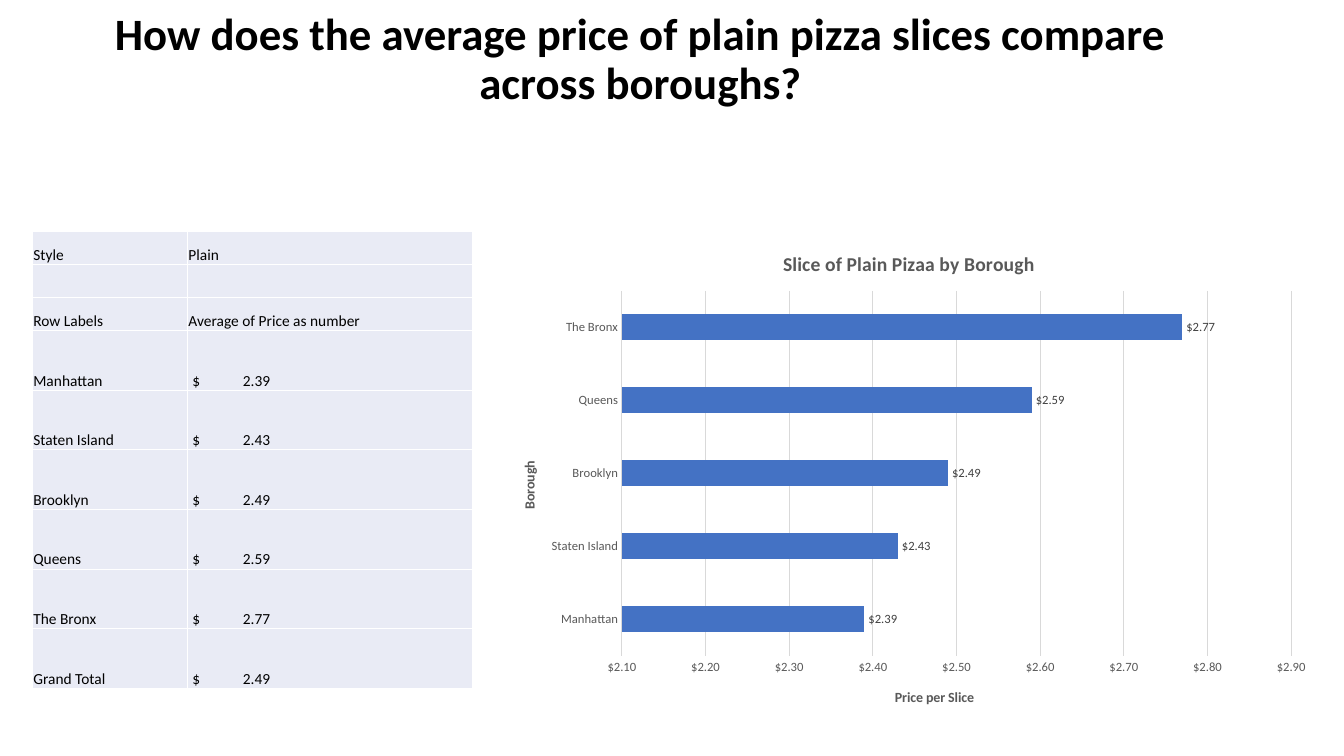
from lxml import etree
from pptx import Presentation
from pptx.chart.data import CategoryChartData
from pptx.dml.color import RGBColor
from pptx.enum.chart import XL_CHART_TYPE, XL_LABEL_POSITION, XL_TICK_MARK
from pptx.enum.text import MSO_ANCHOR, PP_ALIGN
from pptx.oxml.ns import qn
from pptx.util import Cm, Pt

BAR_CLUSTERED = XL_CHART_TYPE.BAR_CLUSTERED
OUTSIDE_END = XL_LABEL_POSITION.OUTSIDE_END
NO_TICK = XL_TICK_MARK.NONE
BOTTOM = MSO_ANCHOR.BOTTOM
CENTER = PP_ALIGN.CENTER

FONT = "Calibri"
PRICE_FORMAT = '"$"#,##0.00'
COLORS = {
    "black": "000000",
    "cell": "E9EBF5",
    "bar": "4472C4",
    "axis": "595959",
    "label": "404040",
    "grid": "D9D9D9",
}
PRICES = {
    "Manhattan": 2.39,
    "Staten Island": 2.43,
    "Brooklyn": 2.49,
    "Queens": 2.59,
    "The Bronx": 2.77,
}
AVERAGE_PRICE = 2.49


def color(name):
    return RGBColor.from_string(COLORS[name])


def set_font(font, size, color_name, bold=False):
    font.name = FONT
    font.size = Pt(size)
    font.bold = bold
    font.color.rgb = color(color_name)


def add_title(slide, left, top, width, height):
    frame = slide.shapes.add_textbox(left, top, width, height).text_frame
    frame.word_wrap = True
    frame.vertical_anchor = BOTTOM
    paragraph = frame.paragraphs[0]
    paragraph.text = "How does the average price of plain pizza slices compare across boroughs?"
    paragraph.alignment = CENTER
    paragraph.line_spacing = 0.9
    set_font(paragraph.font, 32, "black", True)


def add_price_tab(paragraph):
    properties = paragraph._p.get_or_add_pPr()
    properties.set("marL", str(Cm(0.1)))
    properties.set("indent", "0")
    tabs = etree.Element(qn("a:tabLst"))
    etree.SubElement(tabs, qn("a:tab"), pos=str(Cm(5.3)), algn="r")
    properties.insert(0, tabs)


def add_price_table(slide, left, top, width, height):
    rows = [("Style", "Plain"), ("", ""), ("Row Labels", "Average of Price as number")]
    header_count = len(rows)
    totals = {**PRICES, "Grand Total": AVERAGE_PRICE}
    rows += [(name, f"$\t{price:.2f}") for name, price in totals.items()]
    table = slide.shapes.add_table(len(rows), 2, left, top, width, height).table
    table.first_row = False
    table.horz_banding = False
    table.columns[0].width = Cm(3.91)
    table.columns[1].width = width - Cm(3.91)
    header_height = Cm(0.83)
    price_height = (height - header_count * header_height) // len(totals)
    for row_index, texts in enumerate(rows):
        is_header = row_index < header_count
        table.rows[row_index].height = header_height if is_header else price_height
        for column_index, text in enumerate(texts):
            cell = table.cell(row_index, column_index)
            cell.fill.solid()
            cell.fill.fore_color.rgb = color("cell")
            cell.vertical_anchor = BOTTOM
            cell.margin_left = cell.margin_right = cell.margin_top = Cm(0.02)
            cell.margin_bottom = 0
            paragraph = cell.text_frame.paragraphs[0]
            paragraph.text = text
            set_font(paragraph.font, 11, "black")
            if column_index == 1 and not is_header:
                add_price_tab(paragraph)


def set_layout(element, index, **places):
    for layout in element.findall(qn("c:layout")):
        element.remove(layout)
    layout = etree.Element(qn("c:layout"))
    manual = etree.SubElement(layout, qn("c:manualLayout"))
    if "w" in places:
        etree.SubElement(manual, qn("c:layoutTarget"), val="inner")
    for side in ("x", "y"):
        etree.SubElement(manual, qn(f"c:{side}Mode"), val="edge")
    for side, share in places.items():
        etree.SubElement(manual, qn(f"c:{side}"), val=str(share))
    element.insert(index, layout)


def set_chart_title(owner, text, size):
    paragraph = owner.text_frame.paragraphs[0]
    paragraph.text = text
    set_font(paragraph.font, size, "axis", True)


def style_axis(axis, title, x, y):
    axis.major_tick_mark = axis.minor_tick_mark = NO_TICK
    set_font(axis.tick_labels.font, 9, "axis")
    set_chart_title(axis.axis_title, title, 10)
    set_layout(axis.axis_title._element, 1, x=x, y=y)


def style_line(line):
    line.color.rgb = color("grid")
    line.width = Pt(0.75)


def add_price_chart(slide, left, top, width, height):
    data = CategoryChartData(number_format=PRICE_FORMAT)
    data.categories = list(PRICES)
    data.add_series("Series 1", list(PRICES.values()))
    chart = slide.shapes.add_chart(BAR_CLUSTERED, left, top, width, height, data).chart
    set_font(chart.font, 10, "black")
    chart.has_legend = False
    chart.has_title = True
    set_chart_title(chart.chart_title, "Slice of Plain Pizaa by Borough", 14)
    chart.chart_title.include_in_layout = False

    borough_axis = chart.category_axis
    style_axis(borough_axis, "Borough", 0.03, 0.46)
    borough_axis.has_major_gridlines = False
    style_line(borough_axis.format.line)

    price_axis = chart.value_axis
    style_axis(price_axis, "Price per Slice", 0.48, 0.92)
    price_axis.minimum_scale = 2.1
    price_axis.maximum_scale = 2.9
    price_axis.major_unit = 0.1
    price_axis.tick_labels.number_format = PRICE_FORMAT
    price_axis.tick_labels.number_format_is_linked = False
    price_axis.format.line.fill.background()
    style_line(price_axis.major_gridlines.format.line)

    plot = chart.plots[0]
    plot.gap_width = 182
    plot.vary_by_categories = False
    series = plot.series[0]
    series.format.fill.solid()
    series.format.fill.fore_color.rgb = color("bar")
    labels = series.data_labels
    labels.show_value = True
    labels.position = OUTSIDE_END
    labels.number_format = PRICE_FORMAT
    labels.number_format_is_linked = False
    set_font(labels.font, 9, "label")
    plot_area = chart._chartSpace.chart.plotArea
    set_layout(plot_area, 0, x=0.155, y=0.12, w=0.804, h=0.74)


def main():
    presentation = Presentation()
    presentation.slide_width = Cm(33.87)
    presentation.slide_height = Cm(19.05)
    slide = presentation.slides.add_slide(presentation.slide_layouts[6])
    content_top = Cm(5.84)
    add_title(slide, Cm(2.64), Cm(0.58), Cm(27), Cm(2.29))
    add_price_chart(slide, Cm(12.42), content_top, Cm(20.98), Cm(12.42))
    add_price_table(slide, Cm(0.82), content_top, Cm(11.1), Cm(11.51))
    presentation.save("out.pptx")


if __name__ == "__main__":
    main()
